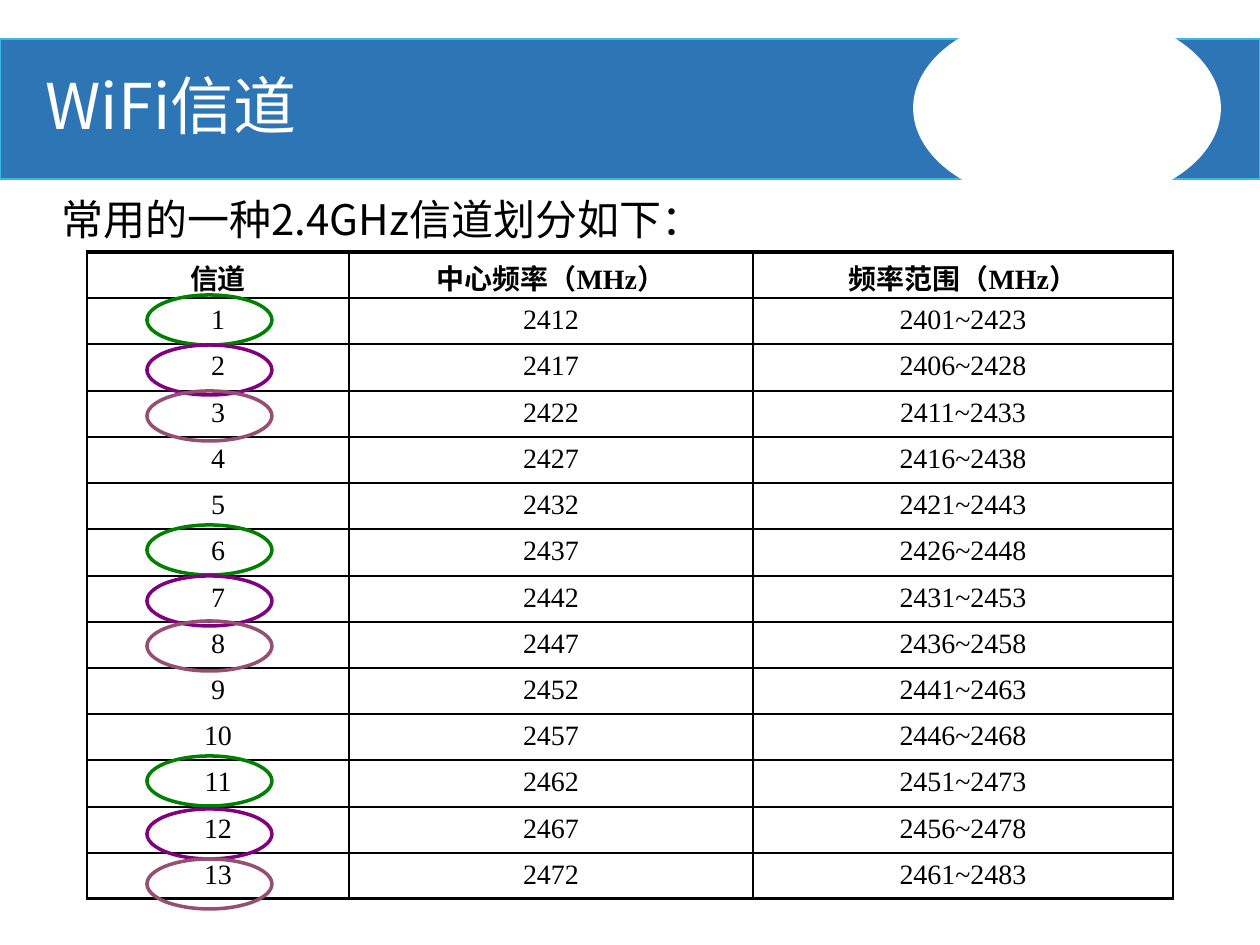
from lxml import etree
from pptx import Presentation
from pptx.dml.color import RGBColor
from pptx.enum.shapes import MSO_SHAPE
from pptx.enum.text import MSO_ANCHOR, MSO_AUTO_SIZE, PP_ALIGN
from pptx.oxml.ns import qn
from pptx.util import Emu, Pt

RECT, OVAL = MSO_SHAPE.RECTANGLE, MSO_SHAPE.OVAL
TOP, MIDDLE = MSO_ANCHOR.TOP, MSO_ANCHOR.MIDDLE
LEFT, CENTER = PP_ALIGN.LEFT, PP_ALIGN.CENTER
FIXED = MSO_AUTO_SIZE.NONE
SCALE = 914400 / 126

THEME = {
    "band": "2E75B6", "edge": "3BB8E6", "white": "FFFFFF", "ink": "000000",
    "rings": ("008000", "800080", "954F72"),
    "title": 36, "lead": 24, "cell": 16,
    "sans": "Noto Sans CJK SC", "serif": "Times New Roman",
}


def px(*nums):
    return [Emu(round(n * SCALE)) for n in nums]


def write(para, text, face, size, color, align=LEFT, bold=False):
    para.alignment = align
    run = para.add_run()
    run.text = text
    look = {"name": face, "size": Pt(size), "bold": bold}
    for key, val in look.items():
        setattr(run.font, key, val)
    run.font.color.rgb = RGBColor.from_string(color)
    # Chinese characters always use the sans face
    east = etree.SubElement(run._r.get_or_add_rPr(), qn("a:ea"))
    east.set("typeface", THEME["sans"])


prs = Presentation()
prs.slide_width, prs.slide_height = px(1260, 945)
slide = prs.slides.add_slide(prs.slide_layouts[5])
shapes = slide.shapes

# Title band with its white oval
for kind, box, fill, edge in (
    (RECT, (0, 39, 1260, 140), THEME["band"], THEME["edge"]),
    (OVAL, (914, 11, 306, 194), THEME["white"], THEME["white"]),
):
    part = shapes.add_shape(kind, *px(*box))
    part.shadow.inherit = False
    part.fill.solid()
    part.fill.fore_color.rgb = RGBColor.from_string(fill)
    part.line.color.rgb = RGBColor.from_string(edge)
    part.line.width = Pt(1)

# Title in front of the band, lead sentence below
title = shapes.title
shapes._spTree.append(title._element)
title.left, title.top, title.width, title.height = px(33, 59, 828, 90)
lead = shapes.add_textbox(*px(0, 161, 1260, 90))
for box in (title, lead):
    form = {"word_wrap": True, "auto_size": FIXED, "vertical_anchor": MIDDLE}
    for key, val in form.items():
        setattr(box.text_frame, key, val)
write(title.text_frame.paragraphs[0], "WiFi信道",
      THEME["sans"], THEME["title"], THEME["white"])
para = lead.text_frame.paragraphs[0]
para.line_spacing = 1.5
para._p.get_or_add_pPr().set("indent", str(px(49)[0]))
write(para, "常用的一种2.4GHz信道划分如下：",
      THEME["sans"], THEME["lead"], THEME["ink"])

# Channel table: centres 5 MHz apart, 11 MHz to each side
rows = [("信道", "中心频率（MHz）", "频率范围（MHz）")]
for num in range(1, 14):
    mid = 2407 + 5 * num
    rows.append((str(num), str(mid), f"{mid - 11}~{mid + 11}"))
count, tall = len(rows), 647
table = shapes.add_table(count, 3, *px(87, 252, 1086, tall)).table
table.first_row = table.horz_banding = False
for col, wide in zip(table.columns, (262, 404, 420)):
    col.width = px(wide)[0]

for r, row in enumerate(rows):
    step = round(tall * (r + 1) / count) - round(tall * r / count)
    table.rows[r].height = px(step)[0]
    for c, text in enumerate(row):
        cell = table.cell(r, c)
        cell.fill.background()
        cell.vertical_anchor = TOP
        if r == 0:
            cell.margin_top, cell.margin_bottom = px(5, 0)
        write(cell.text_frame.paragraphs[0], text, THEME["serif"],
              THEME["cell"], THEME["ink"], CENTER, r == 0)
        # Heavy rules at top and bottom, fine ones at the sides
        sides = {
            "lnL": 0.75 if c == 0 else 1,
            "lnR": 0.75 if c == 2 else 1,
            "lnT": 2 if r == 0 else 1,
            "lnB": 2 if r == count - 1 else 1,
        }
        props = cell._tc.get_or_add_tcPr()
        for i, (side, width) in enumerate(sides.items()):
            rule = etree.Element(qn(f"a:{side}"), w=str(Pt(width)))
            fill = etree.SubElement(rule, qn("a:solidFill"))
            etree.SubElement(fill, qn("a:srgbClr"), val=THEME["ink"])
            props.insert(i, rule)

# Rings: one colour for each set of channels that do not overlap
tops = ((295, 525, 756), (345, 576, 809), (391, 621, 859))
for color, group in zip(THEME["rings"], tops):
    for top in group:
        ring = shapes.add_shape(OVAL, *px(147, top, 125, 50))
        ring.shadow.inherit = False
        ring.fill.background()
        ring.line.color.rgb = RGBColor.from_string(color)
        ring.line.width = Pt(2)

prs.save("out.pptx")
